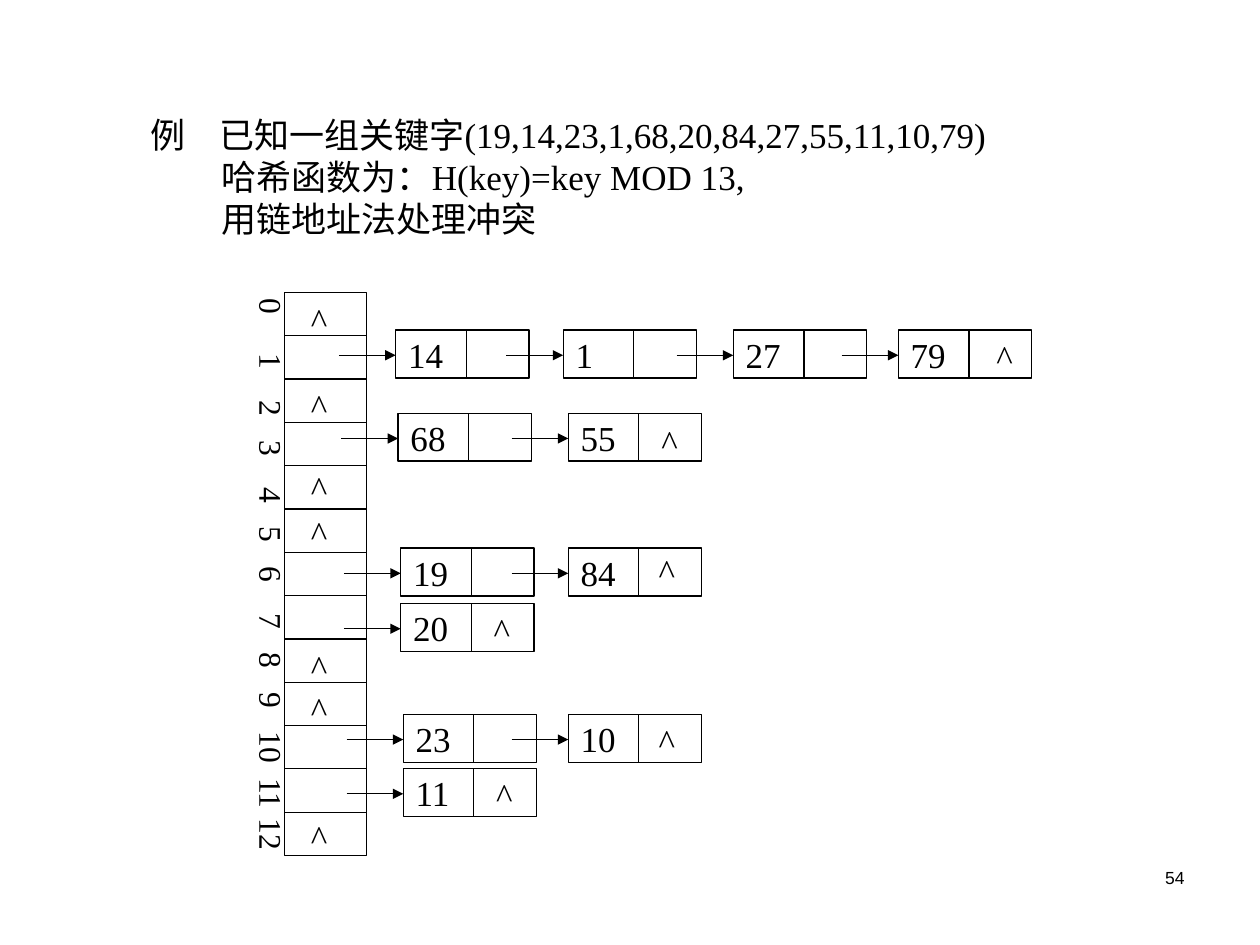
from lxml.etree import SubElement
from pptx import Presentation
from pptx.dml.color import RGBColor
from pptx.enum.shapes import MSO_CONNECTOR as CONN, MSO_SHAPE as SHAPE
from pptx.enum.text import MSO_ANCHOR as ANCHOR, PP_ALIGN as ALIGN
from pptx.oxml.ns import qn
from pptx.util import Inches, Pt

BLACK = RGBColor.from_string("000000")
SERIF = "Times New Roman"

prs = Presentation()
prs.slide_width, prs.slide_height = Inches(10), Inches(7.5)
s = prs.slides.add_slide(prs.slide_layouts[6])


def add_text(box, lines, shape=None, size=20, font=SERIF, **frame):
    """Add a text box, or an outlined shape, holding the given lines."""
    place = [Inches(v) for v in box]
    if shape is None:
        sp = s.shapes.add_textbox(*place)
    else:
        sp = s.shapes.add_shape(shape, *place)
        sp.shadow.inherit = False
        sp.fill.background()
        sp.line.color.rgb, sp.line.width = BLACK, Pt(0.75)
    tf = sp.text_frame
    for name, value in {"word_wrap": False, **frame}.items():
        setattr(tf, name, value)
    for i, line in enumerate(lines):
        p = tf.paragraphs[0] if i == 0 else tf.add_paragraph()
        p.alignment = ALIGN.LEFT
        r = p.add_run()
        r.text = line
        r.font.name, r.font.size = font, Pt(size)
        r.font.color.rgb = BLACK
    return tf


def add_line(x1, y1, x2, y2, arrow=False):
    line = s.shapes.add_connector(CONN.STRAIGHT, *(Inches(v) for v in (x1, y1, x2, y2)))
    line.line.color.rgb, line.line.width = BLACK, Pt(0.75)
    if arrow:
        SubElement(line.line._get_or_add_ln(), qn("a:tailEnd"), type="triangle")
    SubElement(line._element.spPr, qn("a:effectLst"))


# Problem statement, with a hanging indent after the first word
tf = add_text((1.1, 0.85, 7.3, 1.1), [
    "例\t已知一组关键字(19,14,23,1,68,20,84,27,55,11,10,79)",
    "哈希函数为：H(key)=key MOD 13,",
    "用链地址法处理冲突",
], word_wrap=True)
for p, hang in zip(tf.paragraphs, (0.54, 0, 0)):
    pPr = p._p.get_or_add_pPr()
    pPr.set("marL", str(Inches(hang or 0.56)))
    pPr.set("indent", str(-Inches(hang)))

# Bucket array
LEFT, TOP, WIDTH, HEIGHT, BUCKETS = 2.26, 2.32, 0.65, 4.47, 13
add_text((LEFT, TOP, WIDTH, HEIGHT), [], SHAPE.RECTANGLE)
for i in range(1, BUCKETS):
    y = TOP + i * HEIGHT / BUCKETS
    add_line(LEFT, y, LEFT + WIDTH, y)

# Bucket numbers, set vertically with one tab stop each
tf = add_text((1.86, TOP - 0.05, 0.5, 4.9), ["\t".join(str(i) for i in range(BUCKETS))],
              size=18, word_wrap=True,
              margin_left=Inches(0.05), margin_right=Inches(0.05),
              margin_top=Inches(0.05), margin_bottom=Inches(0.05))
tf._txBody.bodyPr.set("vert", "eaVert")
tabs = SubElement(tf.paragraphs[0]._p.get_or_add_pPr(), qn("a:tabLst"))
for stop in (0.44, 0.81, 1.13, 1.5, 1.81, 2.13, 2.5, 2.81, 3.13, 3.44, 3.81, 4.13):
    SubElement(tabs, qn("a:tab"), pos=str(Inches(stop)), algn="l")

# Chains: top, {key: left}, left and top of the closing null mark
chains = [
    (2.62, {14: 3.14, 1: 4.47, 27: 5.82, 79: 7.13}, (7.81, 2.61)),
    (3.28, {68: 3.16, 55: 4.51}, (5.15, 3.29)),
    (4.35, {19: 3.18, 84: 4.51}, (5.13, 4.31)),
    (4.79, {20: 3.18}, (3.82, 4.78)),
    (5.67, {23: 3.2, 10: 4.51}, (5.13, 5.66)),
    (6.1, {11: 3.2}, (3.84, 6.09)),
]
NODE_W, NODE_H, KEY_W, ARROW = 1.06, 0.38, 0.56, 0.45
for top, nodes, _ in chains:
    for key, x in nodes.items():
        add_text((x, top, NODE_W, NODE_H), [str(key)], SHAPE.RECTANGLE,
                 vertical_anchor=ANCHOR.MIDDLE)
        add_line(x + KEY_W, top, x + KEY_W, top + NODE_H)
        add_line(x - ARROW, top + 0.2, x, top + 0.2, arrow=True)

# Null marks in empty buckets and at chain ends
marks = [(2.37, y) for y in (2.32, 3, 3.65, 4.01, 5.07, 5.41, 6.42)]
marks += [end for _, _, end in chains]
for x, y in marks:
    add_text((x, y, 0.33, 0.44), ["^"])

# Page number
tf = add_text((7.17, 6.83, 2.33, 0.5), ["54"], size=10, font="Arial", word_wrap=True)
tf.paragraphs[0].alignment = ALIGN.RIGHT

prs.save("out.pptx")
